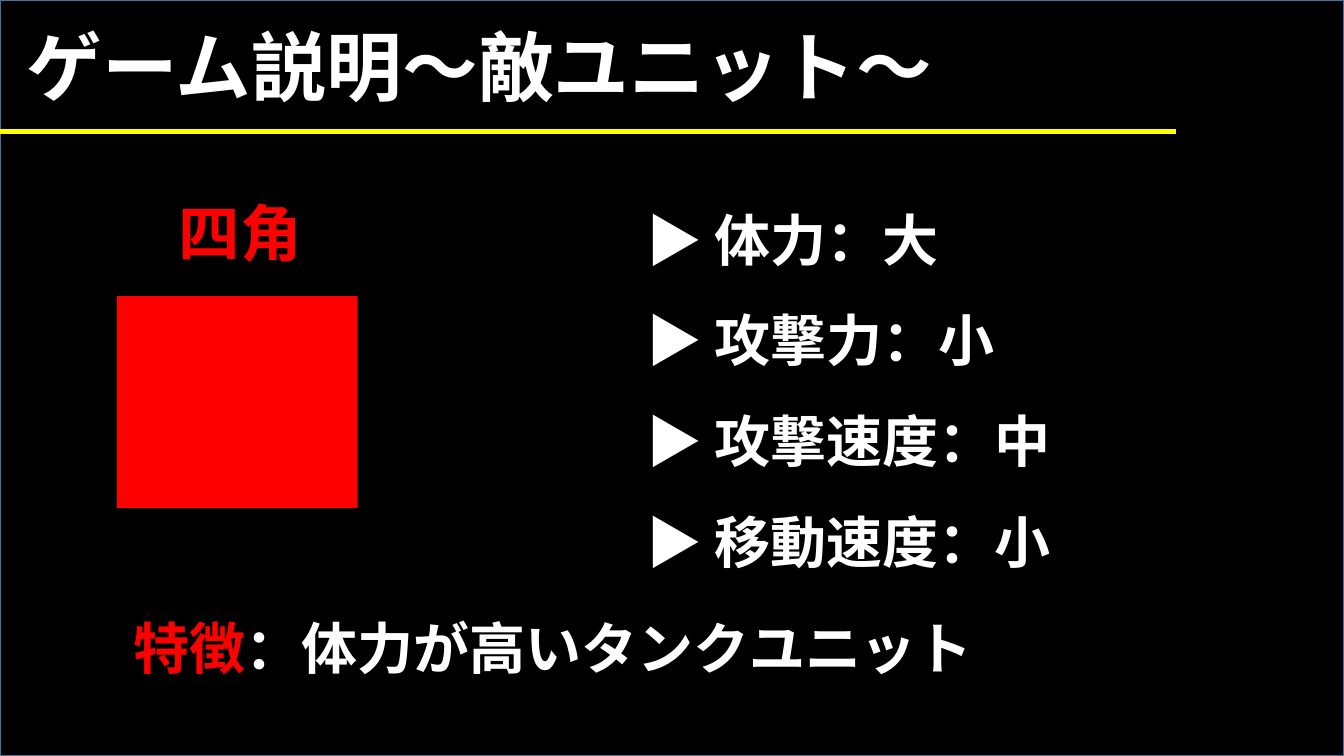
import pptx
import pptx.dml.color
import pptx.enum.shapes
import pptx.enum.text
import pptx.oxml.ns
import pptx.util
from lxml import etree

Pt = pptx.util.Pt
FONT = "Noto Sans CJK JP"
BLACK, WHITE, RED, YELLOW, EDGE = "000000", "FFFFFF", "FF0000", "FFFF00", "43739E"
WIDTH, HEIGHT = 960, 540


def rgb(color):
    return pptx.dml.color.RGBColor.from_string(color)


def add_rectangle(slide, left, top, width, height, fill, edge=None):
    rectangle = slide.shapes.add_shape(
        pptx.enum.shapes.MSO_SHAPE.RECTANGLE, Pt(left), Pt(top), Pt(width), Pt(height))
    rectangle.shadow.inherit = False
    rectangle.fill.solid()
    rectangle.fill.fore_color.rgb = rgb(fill)
    if edge:
        rectangle.line.color.rgb = rgb(edge)
        rectangle.line.width = Pt(1)
    else:
        rectangle.line.fill.background()


def add_rule(slide, left, right, y, color, weight):
    rule = slide.shapes.add_connector(
        pptx.enum.shapes.MSO_CONNECTOR.STRAIGHT, Pt(left), Pt(y), Pt(right), Pt(y))
    rule.line.color.rgb = rgb(color)
    rule.line.width = Pt(weight)
    etree.SubElement(rule._element.spPr, pptx.oxml.ns.qn("a:effectLst"))


def style_paragraph(paragraph, size, color):
    """Set the bold font for both Latin and East Asian characters."""
    font = paragraph.font
    font.size = Pt(size)
    font.bold = True
    font.color.rgb = rgb(color)
    font.name = FONT
    defaults = paragraph._p.pPr.find(pptx.oxml.ns.qn("a:defRPr"))
    etree.SubElement(defaults, pptx.oxml.ns.qn("a:ea"), typeface=FONT)


def add_text(slide, left, top, width, height, lines, size, color=WHITE,
             spacing=None, align=None):
    """Add one paragraph per line; return the paragraphs."""
    box = slide.shapes.add_textbox(Pt(left), Pt(top), Pt(width), Pt(height))
    frame = box.text_frame
    frame.word_wrap = False
    frame.auto_size = pptx.enum.text.MSO_AUTO_SIZE.SHAPE_TO_FIT_TEXT
    frame.text = "\n".join(lines)
    for paragraph in frame.paragraphs:
        paragraph.line_spacing = spacing
        paragraph.alignment = align
        style_paragraph(paragraph, size, color)
    return frame.paragraphs


def main():
    deck = pptx.Presentation()
    deck.slide_width, deck.slide_height = Pt(WIDTH), Pt(HEIGHT)
    slide = deck.slides.add_slide(deck.slide_layouts[6])

    add_rectangle(slide, 0, 0, WIDTH, HEIGHT, BLACK, EDGE)
    add_text(slide, 12, 11, 672, 73, ["ゲーム説明～敵ユニット～"], 54)
    add_text(slide, 119.5, 136, 104, 60.5, ["四角"], 44, RED,
             align=pptx.enum.text.PP_ALIGN.CENTER)

    stats = {"体力": "大", "攻撃力": "小", "攻撃速度": "中", "移動速度": "小"}
    add_text(slide, 454.5, 119, 309, 298,
             [f"▶ {stat}：{level}" for stat, level in stats.items()], 40, spacing=1.5)

    feature = add_text(slide, 88.5, 435, 620.5, 55.5, ["特徴"], 40, RED)[0]
    description = feature.add_run()
    description.text = "：体力が高いタンクユニット"
    description.font.color.rgb = rgb(WHITE)

    add_rectangle(slide, 83.5, 211.5, 172, 151.5, RED)
    add_rule(slide, 0, 840, 94, YELLOW, 3)

    deck.save("out.pptx")


if __name__ == "__main__":
    main()
